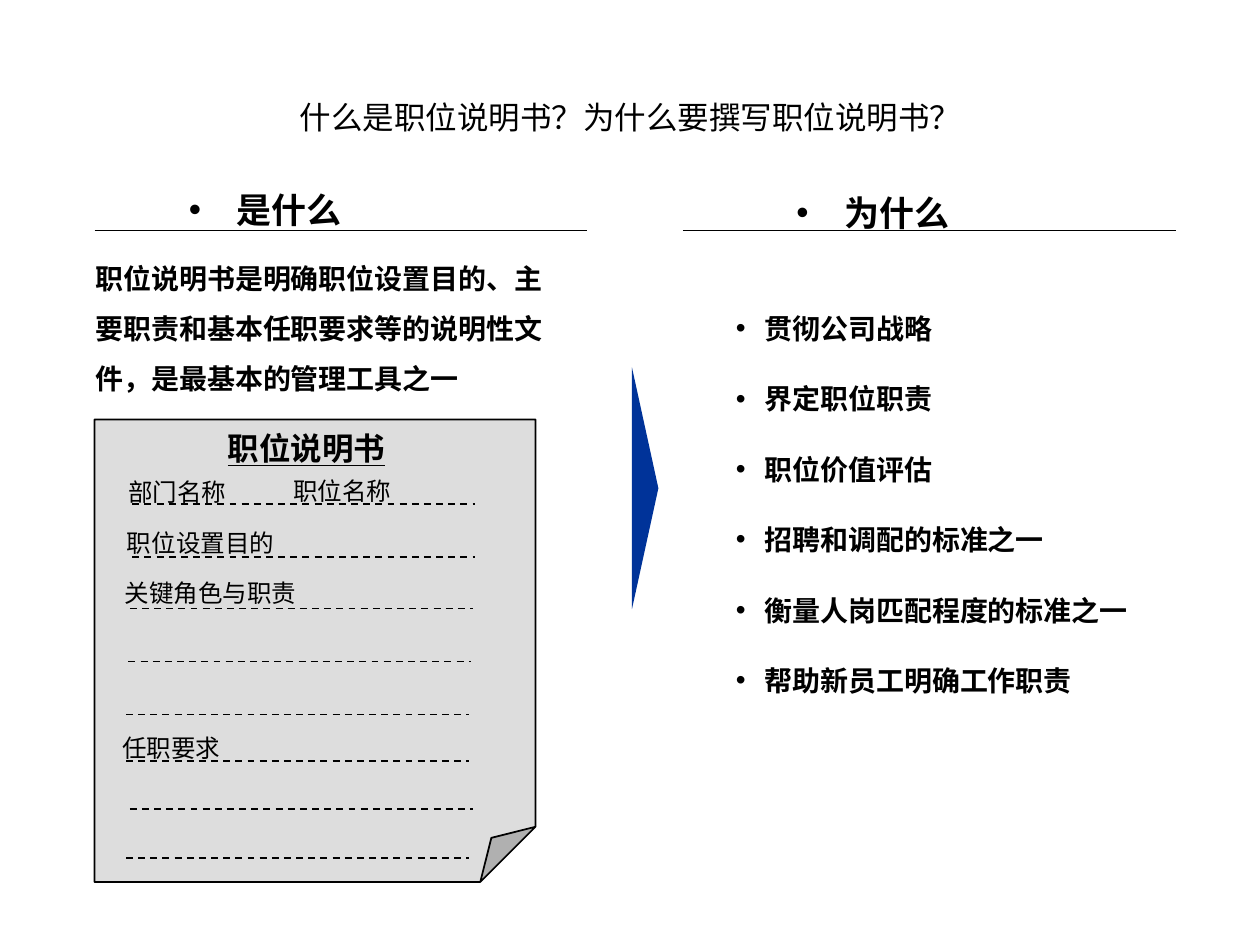
import pptx
import pptx.util
import pptx.dml.color
import pptx.enum.dml
import pptx.enum.shapes
import pptx.enum.text
import pptx.oxml.ns
from lxml import etree

Inches = pptx.util.Inches
Pt = pptx.util.Pt
qn = pptx.oxml.ns.qn
ANCHOR = pptx.enum.text.MSO_ANCHOR
ALIGN = pptx.enum.text.PP_ALIGN
SHAPE = pptx.enum.shapes.MSO_SHAPE
COLORS = {"ink": "000000", "paper": "DDDDDD", "arrow": "003399"}
PAD = (0.1, 0.05, 0.1, 0.05)
TIGHT = (0, 0, 0, 0)
BODY_PAD = (0.05, 0.05, 0.1, 0.05)


class Deck:
    def __init__(self, prs):
        self.slide = prs.slides.add_slide(prs.slide_layouts[1])

    def color(self, name):
        return pptx.dml.color.RGBColor.from_string(COLORS[name])

    def bullet(self, p, indent):
        pPr = p._p.get_or_add_pPr()
        pPr.set("marL", str(Inches(indent)))
        pPr.set("indent", str(-Inches(indent)))
        for tag, key, value in (("a:buFont", "typeface", "Arial"), ("a:buChar", "char", "•")):
            etree.SubElement(pPr, qn(tag)).set(key, value)

    def fill_text(self, sp, box, lines, font, pad=PAD, anchor=ANCHOR.TOP,
                  wrap=True, indent=None, para=None):
        sp.left, sp.top, sp.width, sp.height = (Inches(v) for v in box)
        tf = sp.text_frame
        tf.auto_size = pptx.enum.text.MSO_AUTO_SIZE.NONE
        tf.word_wrap = wrap
        tf.vertical_anchor = anchor
        for side, value in zip(("left", "top", "right", "bottom"), pad):
            setattr(tf, "margin_" + side, Inches(value))
        for i, line in enumerate(lines):
            p = tf.add_paragraph() if i else tf.paragraphs[0]
            if indent:
                self.bullet(p, indent)
            for key, value in {"space_before": Pt(0), **(para or {})}.items():
                setattr(p, key, value)
            r = p.add_run()
            r.text = line
            for key, value in font.items():
                setattr(r.font, key, value)
            r.font.color.rgb = self.color("ink")

    def title(self, text, box, font):
        self.fill_text(self.slide.shapes.title, box, [text], font, anchor=ANCHOR.MIDDLE,
                       para={"alignment": ALIGN.CENTER})

    def body(self, lines, box, font, **style):
        self.fill_text(self.slide.placeholders[1], box, lines, font, **style)

    def text(self, text, box, font, **style):
        sp = self.slide.shapes.add_textbox(*(Inches(v) for v in box))
        self.fill_text(sp, box, [text], font, **style)

    def shape(self, kind, box, fill, outline=False, rotation=0):
        sp = self.slide.shapes.add_shape(kind, *(Inches(v) for v in box))
        sp.shadow.inherit = False
        sp.rotation = rotation
        sp.fill.solid()
        sp.fill.fore_color.rgb = self.color(fill)
        if outline:
            self.stroke(sp.line)
        else:
            sp.line.fill.background()
        return sp

    def page(self, box, fill, fold):
        sp = self.shape(SHAPE.FOLDED_CORNER, box, fill, outline=True)
        # python-pptx lists no adjustment for this preset
        guides = sp._element.spPr.find(qn("a:prstGeom")).get_or_add_avLst()
        etree.SubElement(guides, qn("a:gd"), name="adj", fmla=f"val {round(fold * 100000)}")

    def rule(self, x, y, width, dashed=False):
        line = self.slide.shapes.add_connector(
            pptx.enum.shapes.MSO_CONNECTOR.STRAIGHT,
            Inches(x), Inches(y), Inches(x + width), Inches(y))
        self.stroke(line.line)
        if dashed:
            line.line.dash_style = pptx.enum.dml.MSO_LINE.DASH
        etree.SubElement(line._element.spPr, qn("a:effectLst"))

    def stroke(self, line):
        line.color.rgb = self.color("ink")
        line.width = Pt(1)


def main():
    prs = pptx.Presentation()
    prs.slide_width, prs.slide_height = Inches(10), Inches(7.5)
    s = Deck(prs)
    heading = {"name": "Arial", "size": Pt(20), "bold": True}
    label = {"name": "Times New Roman", "size": Pt(14)}

    # Title
    s.title("什么是职位说明书？为什么要撰写职位说明书？", (0.5, 0.3, 9.01, 1.25),
            {"name": "Arial", "size": Pt(18), "bold": False})

    # Column headings with rules
    for text, box, x in (("是什么", (1.5, 1.5, 3.23, 0.33), 0.75),
                         ("为什么", (6.32, 1.52, 2.18, 0.33), 5.42)):
        s.text(text, box, heading, pad=TIGHT, indent=0.38)
        s.rule(x, 1.83, 3.91)

    # Reasons and the arrow pointing at them
    s.body(["贯彻公司战略", "界定职位职责", "职位价值评估", "招聘和调配的标准之一",
            "衡量人岗匹配程度的标准之一", "帮助新员工明确工作职责"],
           (5.79, 2.69, 3.79, 2.33),
           {"name": "Times New Roman", "size": Pt(16), "bold": True},
           pad=BODY_PAD, anchor=ANCHOR.MIDDLE, indent=0.23, para={"line_spacing": 2.1})
    s.shape(SHAPE.ISOSCELES_TRIANGLE, (4.16, 3.77, 1.92, 0.21), "arrow", rotation=90)

    # Definition
    s.text("职位说明书是明确职位设置目的、主要职责和基本任职要求等的说明性文件，是最基本的管理工具之一",
           (0.71, 1.83, 3.79, 1.42), {"name": "Arial", "size": Pt(16), "bold": True},
           pad=BODY_PAD, anchor=ANCHOR.MIDDLE, para={"line_spacing": 1.5})

    # Sample form
    s.page((0.75, 3.33, 3.5, 3.67), "paper", fold=0.125)
    s.text("职位说明书", (1.71, 3.36, 1.45, 0.4),
           {"name": "Times New Roman", "size": Pt(18), "bold": True, "underline": True},
           wrap=False)
    for x, y in ((1.05, 4), (1.05, 4.42), (1.03, 4.83), (1.02, 5.25),
                 (1, 5.67), (1, 6.04), (1.03, 6.42), (1, 6.81)):
        s.rule(x, y, 2.72, dashed=True)
    for text, x, y, width in (("部门名称", 0.92, 3.74, 0.98), ("职位名称", 2.23, 3.73, 0.98),
                              ("职位设置目的", 0.91, 4.14, 1.37),
                              ("关键角色与职责", 0.89, 4.54, 1.56),
                              ("任职要求", 0.87, 5.77, 0.98)):
        s.text(text, (x, y, width, 0.34), label, wrap=False)

    prs.save("out.pptx")


if __name__ == "__main__":
    main()
